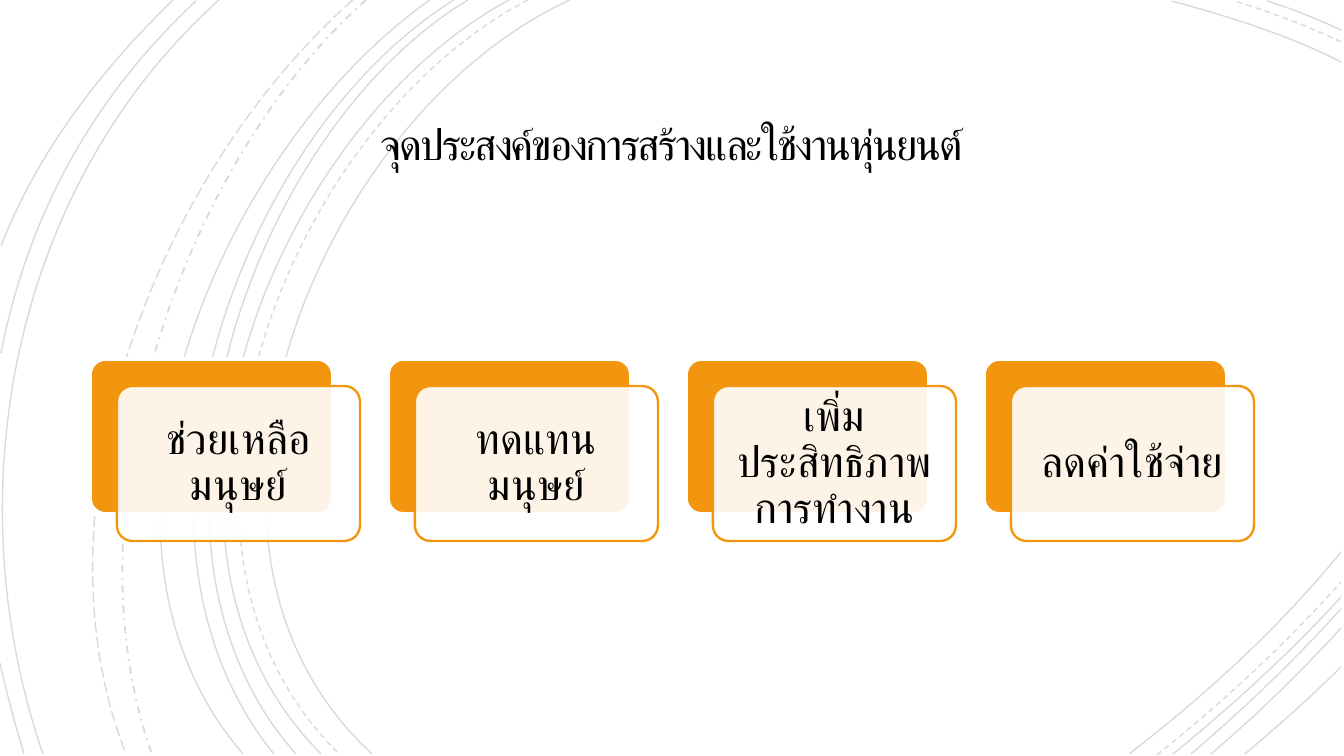
from lxml.etree import SubElement
from pptx import Presentation
from pptx.dml.color import RGBColor
from pptx.enum.dml import MSO_LINE_DASH_STYLE as Dash
from pptx.enum.shapes import MSO_SHAPE as Shape
from pptx.enum.text import MSO_ANCHOR as Anchor, MSO_AUTO_SIZE as AutoSize, PP_ALIGN as Align
from pptx.oxml.ns import qn
from pptx.util import Pt

TITLE = "จุดประสงค์ของการสร้างและใช้งานหุ่นยนต์"
PURPOSES = ["ช่วยเหลือมนุษย์", "ทดแทนมนุษย์", "เพิ่มประสิทธิภาพการทำงาน", "ลดค่าใช้จ่าย"]

# Each arc is a start, two control points and an end.
ARCS = {
    Dash.SOLID: [
        [(570, 0), (317, 116), (144, 544), (372, 754)],
        [(509, 0), (271, 129), (110, 542), (321, 754)],
        [(468, 0), (246, 134), (110, 546), (296, 754)],
        [(454, 0), (233, 138), (98, 538), (274, 754)],
        [(430, 0), (219, 148), (54, 534), (243, 754)],
        [(219, 0), (11, 187), (-46, 495), (43, 754)],
        [(196, 1), (93, 97), (28, 215), (1, 353)],
        [(173, 0), (101, 70), (38, 151), (1, 246)],
        [(0, 663), (7, 694), (15, 724), (24, 754)],
        [(1341, 62), (1289, 35), (1227, 16), (1172, 1)],
        [(1341, 30), (1317, 19), (1293, 9), (1267, 1)],
        [(1129, 754), (1206, 695), (1279, 628), (1341, 552)],
        [(1173, 754), (1232, 706), (1290, 653), (1341, 597)],
        [(1191, 754), (1243, 710), (1294, 661), (1341, 609)],
        [(1211, 754), (1257, 715), (1301, 672), (1341, 628)],
        [(1245, 754), (1277, 727), (1310, 698), (1341, 667)],
    ],
    Dash.DASH: [
        [(528, 0), (286, 126), (124, 542), (339, 754)],
        [(1341, 42), (1308, 26), (1270, 12), (1235, 1)],
        [(1157, 755), (1222, 703), (1285, 645), (1341, 582)],
    ],
    Dash.DASH_DOT: [[(366, 0), (177, 168), (66, 513), (152, 754)]],
    Dash.LONG_DASH: [[(353, 0), (159, 171), (28, 503), (126, 754)]],
}

COLORS = {"text": "000000", "arc": "000000", "accent": "F3960F", "paper": "FFFFFF"}
TITLE_FONT, CARD_FONT = "Calibri", "TeX Gyre Bonum"
SCALE = 914400 / 134.4
CARD_LEFT, CARD_TOP, CARD_WIDTH, CARD_HEIGHT = 90, 359, 243, 155
CARD_STEP, FRONT_OFFSET = 298, 27


def px(length):
    return round(length * SCALE)


def color(name):
    return RGBColor.from_string(COLORS[name])


def set_alpha(fill_parent, percent):
    """Make the solid fill found under an element partly transparent."""
    tint = next(fill_parent.iter(qn("a:srgbClr")))
    SubElement(tint, qn("a:alpha"), val=str(percent * 1000))


def add_arc(shapes, points, dash):
    builder = shapes.build_freeform(*points[0], scale=SCALE)
    builder.add_line_segments(points[1:], close=False)
    arc = builder.convert_to_shape()
    # Turn the three straight segments into one Bézier curve.
    segments = list(arc._element.iter(qn("a:lnTo")))
    curve = SubElement(segments[0].getparent(), qn("a:cubicBezTo"))
    for segment in segments:
        curve.append(segment[0])
        segment.getparent().remove(segment)
    arc.shadow.inherit = False
    arc.fill.background()
    arc.line.color.rgb = color("arc")
    arc.line.width = Pt(1 if dash == Dash.DASH_DOT else 0.75)
    arc.line.dash_style = dash
    set_alpha(arc.line._get_or_add_ln(), 15)


def add_card(shapes, left, top, fill, line, width):
    card = shapes.add_shape(Shape.ROUNDED_RECTANGLE, px(left), px(top),
                            px(CARD_WIDTH), px(CARD_HEIGHT))
    card.adjustments[0] = 0.1
    card.shadow.inherit = False
    card.fill.solid()
    card.fill.fore_color.rgb = color(fill)
    card.line.color.rgb = color(line)
    card.line.width = Pt(width)
    return card


def write(shape, text, font, inset, spacing):
    frame = shape.text_frame
    frame.word_wrap = True
    frame.auto_size = AutoSize.NONE
    frame.vertical_anchor = Anchor.MIDDLE
    frame.margin_left = frame.margin_right = px(inset)
    frame.margin_top = frame.margin_bottom = px(inset)
    para = frame.paragraphs[0]
    para.text = text
    para.alignment = Align.CENTER
    para.line_spacing = spacing
    para.font.name = font
    para.font.size = Pt(23)
    para.font.color.rgb = color("text")
    return para


deck = Presentation()
deck.slide_width, deck.slide_height = px(1344), px(756)
page = deck.slides.add_slide(deck.slide_layouts[5])

arcs = page.shapes.add_group_shape()
for dash, curves in ARCS.items():
    for points in curves:
        add_arc(arcs.shapes, points, dash)

title = page.shapes.title
title.left, title.top, title.width, title.height = map(px, (194, 89, 956, 116))
heading = write(title, TITLE, TITLE_FONT, 34, 0.85)
heading.runs[0].font._element.set("spc", "-110")
page.shapes._spTree.append(title._element)  # in front of the arcs

cards = page.shapes.add_group_shape()
for index, purpose in enumerate(PURPOSES):
    left = CARD_LEFT + index * CARD_STEP
    add_card(cards.shapes, left, CARD_TOP, "accent", "paper", 2)
    front = add_card(cards.shapes, left + FRONT_OFFSET, CARD_TOP + FRONT_OFFSET,
                     "paper", "accent", 1.25)
    set_alpha(front.fill._xPr.find(qn("a:solidFill")), 90)
    write(front, purpose, CARD_FONT, 13, 0.9)

deck.save("out.pptx")
